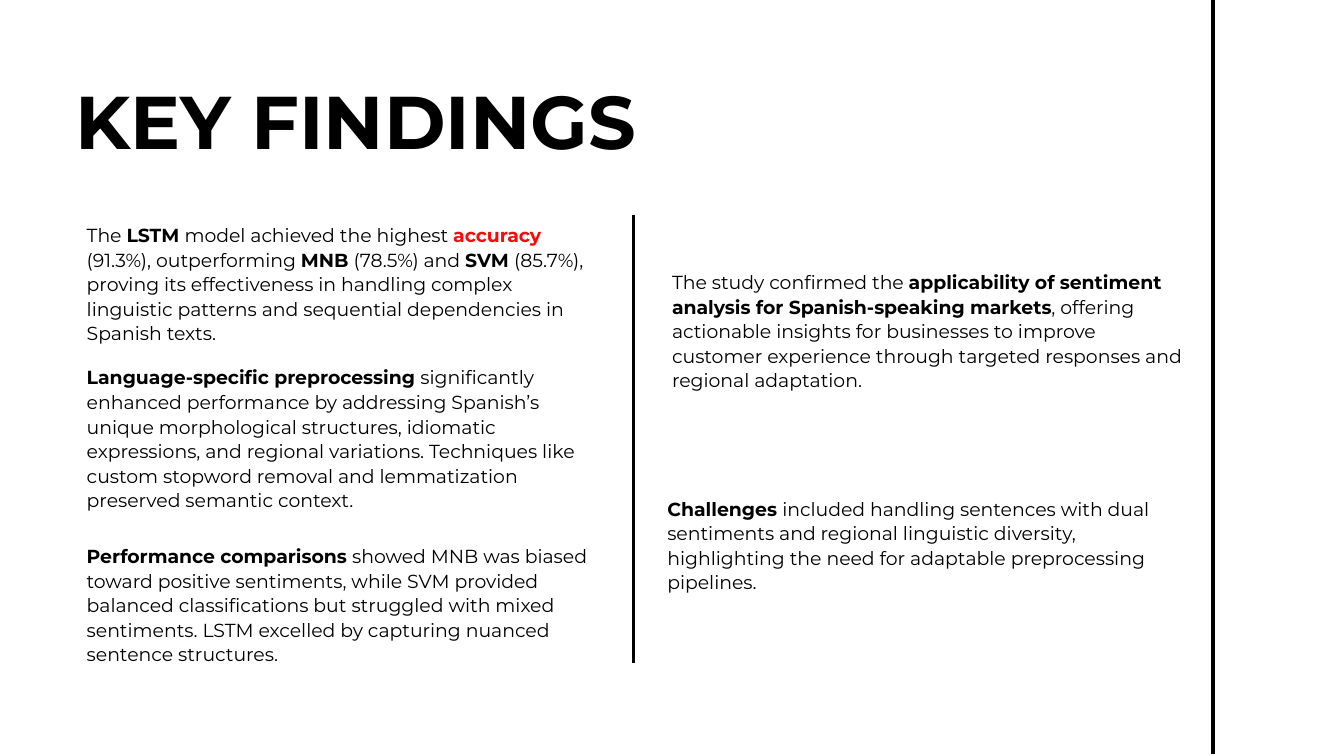
import pptx
import pptx.util
import pptx.dml.color
import pptx.enum.shapes
import pptx.enum.text
import pptx.oxml

Inches, Pt = pptx.util.Inches, pptx.util.Pt
RGB = pptx.dml.color.RGBColor
BLACK = RGB(0x00, 0x00, 0x00)
RED = RGB(0xF7, 0x0B, 0x0B)
FONT = "Montserrat"
WIDE = 7.65  # width of every finding

# Content: runs are (text, bold) or (text, bold, colour)
TITLE = [("KEY FINDINGS", True)]
NOTES = [  # left, top, height, runs
    (1.29, 3.3, 1.82, [
        ("The ", False), ("LSTM ", True),
        ("model achieved the highest ", False), ("accuracy ", True, RED),
        ("(91.3%), outperforming ", False), ("MNB ", True),
        ("(78.5%) and ", False), ("SVM ", True),
        ("(85.7%), proving its effectiveness in handling complex linguistic "
         "patterns and sequential dependencies in Spanish texts.", False)]),
    (1.29, 5.42, 2.18, [
        ("Language-specific preprocessing ", True),
        ("significantly enhanced performance by addressing Spanish’s unique "
         "morphological structures, idiomatic expressions, and regional "
         "variations. Techniques like custom stopword removal and "
         "lemmatization preserved semantic context.", False)]),
    (1.29, 8.08, 1.82, [
        ("Performance comparisons ", True),
        ("showed MNB was biased toward positive sentiments, while SVM "
         "provided balanced classifications but struggled with mixed "
         "sentiments. LSTM excelled by capturing nuanced sentence "
         "structures.", False)]),
    (10, 4, 1.82, [
        ("The study confirmed the ", False),
        ("applicability of sentiment analysis for Spanish-speaking markets",
         True),
        (", offering actionable insights for businesses to improve customer "
         "experience through targeted responses and regional adaptation.",
         False)]),
    (9.93, 7.37, 1.45, [
        ("Challenges ", True),
        ("included handling sentences with dual sentiments and regional "
         "linguistic diversity, highlighting the need for adaptable "
         "preprocessing pipelines.", False)]),
]
RULES = [(9.43, 3.2, 9.86), (18.05, -0.03, 11.22)]  # x, top, bottom


def write(shape, runs, size, lead):
    frame = shape.text_frame
    frame.margin_left = frame.margin_right = 0
    frame.margin_top = frame.margin_bottom = 0
    frame.word_wrap = True
    frame.auto_size = pptx.enum.text.MSO_AUTO_SIZE.NONE
    frame.vertical_anchor = pptx.enum.text.MSO_ANCHOR.TOP
    para = frame.paragraphs[0]
    para.alignment = pptx.enum.text.PP_ALIGN.LEFT
    para.line_spacing = Pt(lead)
    para.space_before = Pt(0)
    for text, bold, *tint in runs:
        run = para.add_run()
        run.text = text
        run.font.name = FONT
        run.font.size = Pt(size)
        run.font.bold = bold
        run.font.color.rgb = tint[0] if tint else BLACK


def rule(slide, x, top, end):
    line = slide.shapes.add_connector(
        pptx.enum.shapes.MSO_CONNECTOR.STRAIGHT,
        Inches(x), Inches(top), Inches(x), Inches(end))
    line.line.color.rgb = BLACK
    line.line.width = Pt(3.75)
    props = line._element.spPr
    props.append(pptx.oxml.parse_xml(
        '<a:effectLst xmlns:a='
        '"http://schemas.openxmlformats.org/drawingml/2006/main"/>'))


def main():
    deck = pptx.Presentation()
    deck.slide_width, deck.slide_height = Inches(20), Inches(11.25)
    slide = deck.slides.add_slide(deck.slide_layouts[5])

    # Title
    title = slide.shapes.title
    title.left, title.top = Inches(1.12), Inches(1.12)
    title.width, title.height = Inches(16.57), Inches(1.33)
    write(title, TITLE, 80, 96)

    # Column divider and right margin line
    for x, top, end in RULES:
        rule(slide, x, top, end)

    # Findings
    for left, top, high, runs in NOTES:
        box = slide.shapes.add_textbox(
            Inches(left), Inches(top), Inches(WIDE), Inches(high))
        write(box, runs, 20.2, 26.3)

    deck.save("out.pptx")


if __name__ == "__main__":
    main()
